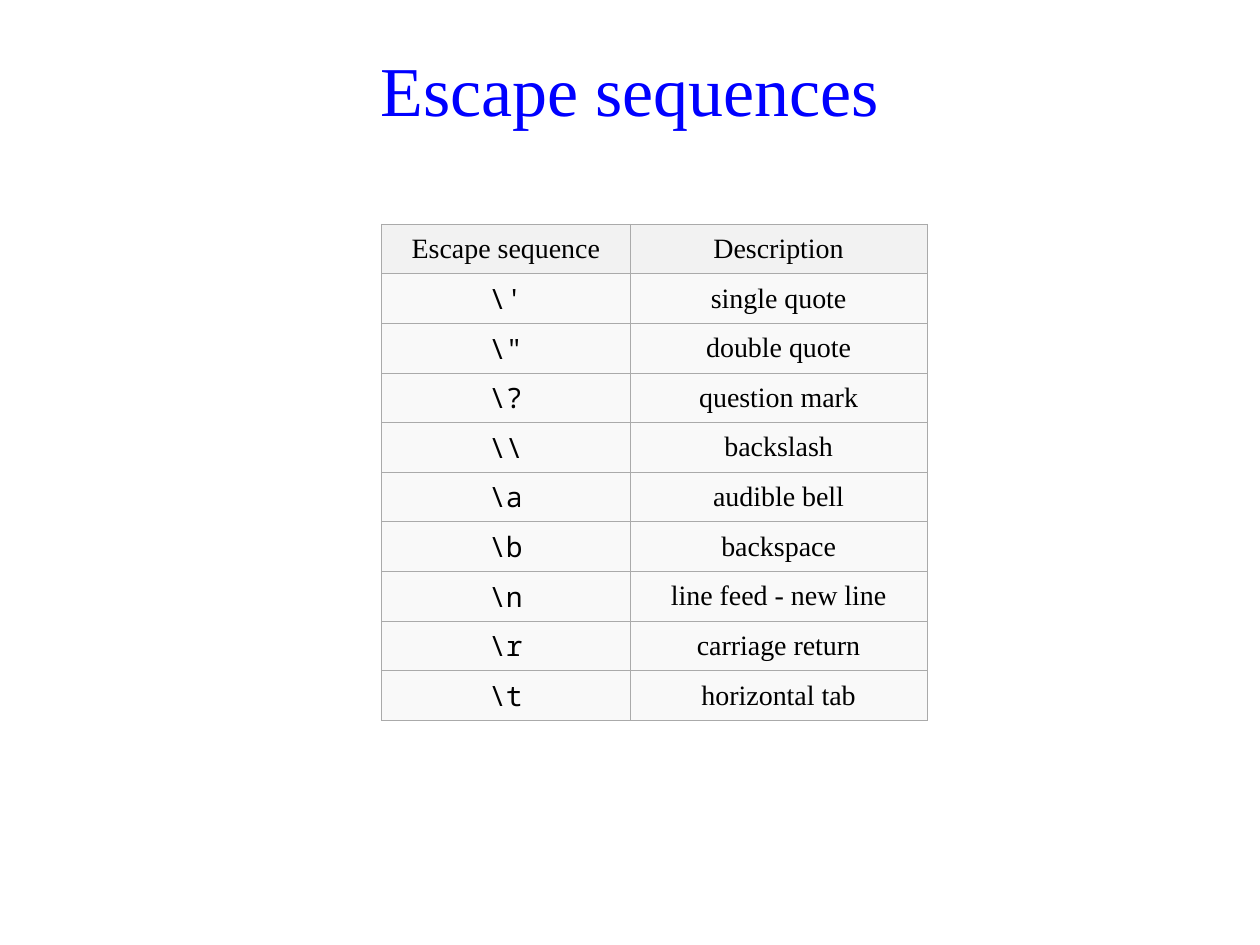
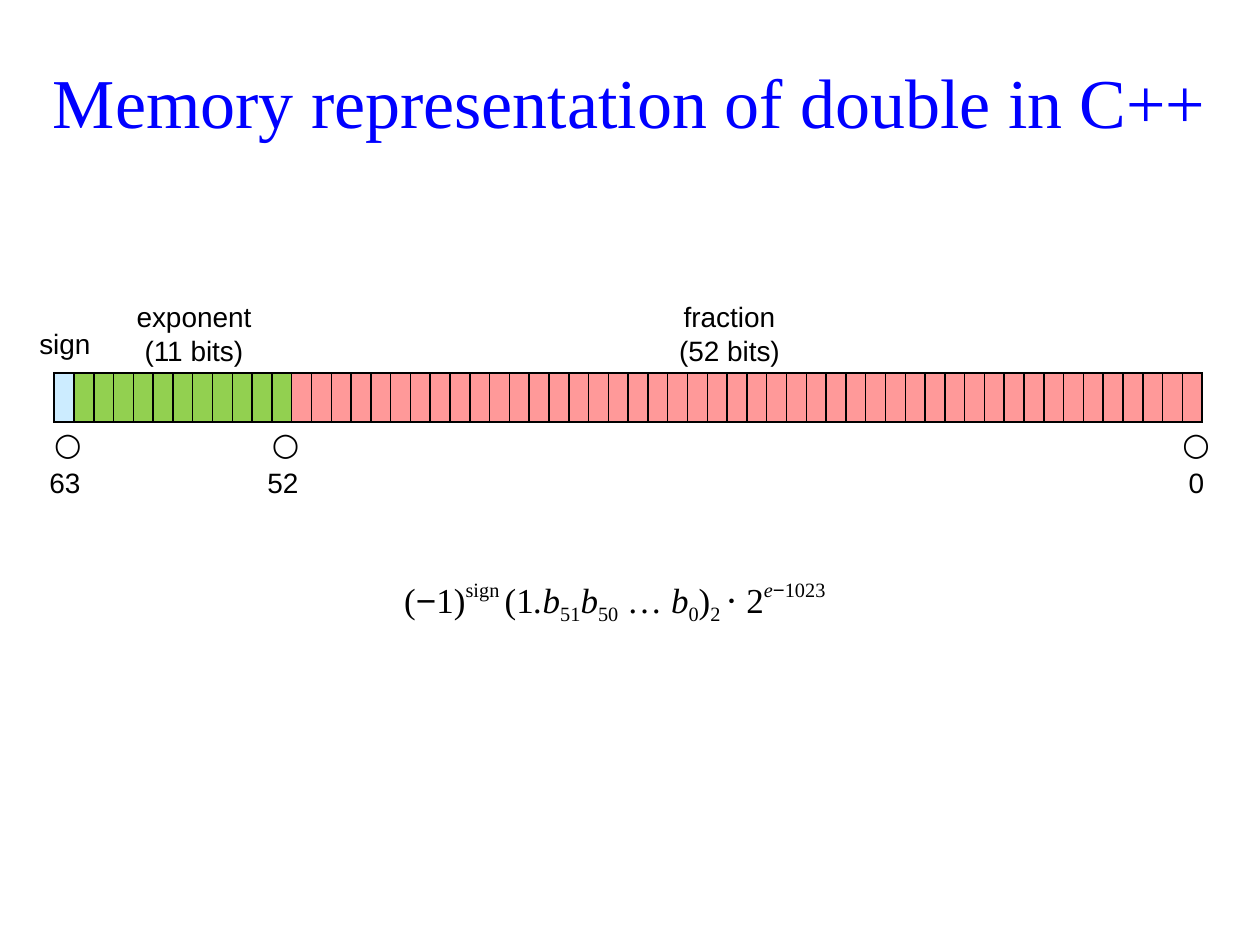
from pptx import Presentation
from pptx.dml.color import RGBColor
from pptx.enum.text import MSO_ANCHOR, MSO_AUTO_SIZE, PP_ALIGN
from pptx.oxml.ns import qn
from pptx.util import Inches, Pt
from lxml import etree

CENTER, LEFT = PP_ALIGN.CENTER, PP_ALIGN.LEFT
MIDDLE, TOP = MSO_ANCHOR.MIDDLE, MSO_ANCHOR.TOP
NO_AUTOFIT = MSO_AUTO_SIZE.NONE

BLACK = RGBColor(0x00, 0x00, 0x00)
TITLE_BLUE = RGBColor(0x00, 0x00, 0xFF)
GRID_GRAY = RGBColor(0xAA, 0xAA, 0xAA)
HEADER_GRAY = RGBColor(0xF2, 0xF2, 0xF2)
BODY_GRAY = RGBColor(0xF9, 0xF9, 0xF9)
SIGN_BLUE = RGBColor(0xCC, 0xEC, 0xFF)
EXPONENT_GREEN = RGBColor(0x92, 0xD0, 0x50)
FRACTION_PINK = RGBColor(0xFF, 0x99, 0x99)

SERIF, SANS, MONO, MATH = "Times New Roman", "Arial", "Noto Sans Mono", "Cambria"
SUPER, SUB = 44, -25
ALL_SIDES = "LRTB"

ESCAPES_TITLE = "Escape sequences"
ESCAPES_HEADER = ("Escape sequence", "Description")
ESCAPES = [
    (r"\'", "single quote"),
    (r'\"', "double quote"),
    (r"\?", "question mark"),
    (r"\\", "backslash"),
    (r"\a", "audible bell"),
    (r"\b", "backspace"),
    (r"\n", "line feed - new line"),
    (r"\r", "carriage return"),
    (r"\t", "horizontal tab"),
]

DOUBLE_TITLE = "Memory representation of double in C++"
BIT_FIELDS = [(SIGN_BLUE, 1), (EXPONENT_GREEN, 11), (FRACTION_PINK, 46)]
MARKED_BITS = (0, 11, 57)
LABELS = [
    ("sign", 0.12, 2.49, 0.79, 0.47),
    ("exponent\n(11 bits)", 0.91, 2.33, 1.26, 0.63),
    ("fraction\n(52 bits)", 5.16, 2.33, 1.26, 0.63),
    ("63", 0.28, 3.59, 0.47, 0.47),
    ("52", 2.01, 3.59, 0.47, 0.47),
    ("0", 9.26, 3.59, 0.47, 0.47),
]
FORMULA = [
    ("(", {}),
    ("−", {"font": SANS}),
    ("1)", {}),
    ("sign ", {"baseline": SUPER}),
    ("(1", {}),
    (".b", {"italic": True}),
    ("51", {"baseline": SUB}),
    ("b", {"italic": True}),
    ("50", {"baseline": SUB}),
    (" … ", {}),
    ("b", {"italic": True}),
    ("0", {"baseline": SUB}),
    (")", {}),
    ("2 ", {"baseline": SUB}),
    ("⋅", {"font": MATH}),
    (" 2", {}),
    ("e", {"italic": True, "baseline": SUPER}),
    ("−", {"font": SANS, "baseline": SUPER}),
    ("1023", {"baseline": SUPER}),
]


def add_span(para, text, size, font, color, italic=False, baseline=0):
    span = para.add_run()
    span.text = text
    span.font.size = Pt(size)
    span.font.name = font
    span.font.color.rgb = color
    span.font.bold = False
    span.font.italic = italic
    if baseline:
        span.font._element.set("baseline", str(baseline * 1000))


def write(frame, text, size=16, font=SERIF, color=BLACK, align=CENTER):
    lines = [[(line, {})] for line in text.split("\n")] if isinstance(text, str) else [text]
    for index, spans in enumerate(lines):
        para = frame.add_paragraph() if index else frame.paragraphs[0]
        para.alignment = align
        for words, changes in spans:
            add_span(para, words, **{"size": size, "font": font, "color": color, **changes})


def add_box(page, text, left, top, width, height, **style):
    box = page.shapes.add_textbox(Inches(left), Inches(top), Inches(width), Inches(height))
    box.text_frame.word_wrap = True
    box.text_frame.vertical_anchor = MIDDLE
    write(box.text_frame, text, **style)


def add_page(deck, title, left, top, width, height):
    page = deck.slides.add_slide(deck.slide_layouts[5])
    holder = page.shapes.title
    holder.left, holder.top = Inches(left), Inches(top)
    holder.width, holder.height = Inches(width), Inches(height)
    frame = holder.text_frame
    frame.word_wrap = True
    frame.auto_size = NO_AUTOFIT
    frame.vertical_anchor = MIDDLE
    write(frame, title, size=40, color=TITLE_BLUE)
    return page


def add_grid(page, left, top, widths, row_height, row_count):
    frame = page.shapes.add_table(
        row_count, len(widths), Inches(left), Inches(top),
        Inches(sum(widths)), Inches(row_height * row_count))
    table = frame.table
    table.first_row = table.horz_banding = False
    for column, width in zip(table.columns, widths):
        column.width = Inches(width)
    for row in table.rows:
        row.height = Inches(row_height)
    return table


def format_cell(cell, fill, line, points, sides=ALL_SIDES, side_inset=0.1, anchor=MIDDLE):
    cell.margin_left = cell.margin_right = Inches(side_inset)
    cell.margin_top = cell.margin_bottom = Inches(0.04)
    cell.vertical_anchor = anchor
    properties = cell._tc.get_or_add_tcPr()
    for side in ALL_SIDES:
        border = etree.SubElement(properties, qn(f"a:ln{side}"), w=str(Pt(points)))
        if side in sides:
            paint = etree.SubElement(border, qn("a:solidFill"))
            etree.SubElement(paint, qn("a:srgbClr"), val=str(line))
        else:
            etree.SubElement(border, qn("a:noFill"))
    if fill is None:
        cell.fill.background()
    else:
        cell.fill.solid()
        cell.fill.fore_color.rgb = fill


def build_escapes(deck):
    page = add_page(deck, ESCAPES_TITLE, 0.47, 0.21, 9.06, 0.98)
    rows = [ESCAPES_HEADER] + ESCAPES
    table = add_grid(page, 3.03, 1.78, (1.97, 2.36), 3.94 / len(rows), len(rows))
    for row_index, row in enumerate(rows):
        for column_index, text in enumerate(row):
            cell = table.cell(row_index, column_index)
            format_cell(cell, BODY_GRAY if row_index else HEADER_GRAY, GRID_GRAY, 0.6)
            is_code = row_index > 0 and column_index == 0
            write(cell.text_frame, text, font=MONO if is_code else SERIF)


def build_double(deck):
    page = add_page(deck, DOUBLE_TITLE, 0.27, 0.21, 9.45, 1.18)
    fills = [color for color, count in BIT_FIELDS for _ in range(count)]
    table = add_grid(page, 0.43, 2.96, [9.13 / len(fills)] * len(fills), 0.39, 2)
    for index, fill in enumerate(fills):
        format_cell(table.cell(0, index), fill, BLACK, 1, side_inset=0)
        marker = table.cell(1, index)
        format_cell(marker, None, BLACK, 1, sides="T", side_inset=0, anchor=TOP)
        if index in MARKED_BITS:
            write(marker.text_frame, "○", size=18, font=MATH)
    for text, *place in LABELS:
        add_box(page, text, *place, font=SANS)
    add_box(page, FORMULA, 3.11, 4.54, 3.78, 0.47, size=20, align=LEFT)


def main():
    deck = Presentation()
    deck.slide_width, deck.slide_height = Inches(10), Inches(7.5)
    build_escapes(deck)
    build_double(deck)
    deck.save("out.pptx")


if __name__ == "__main__":
    main()
